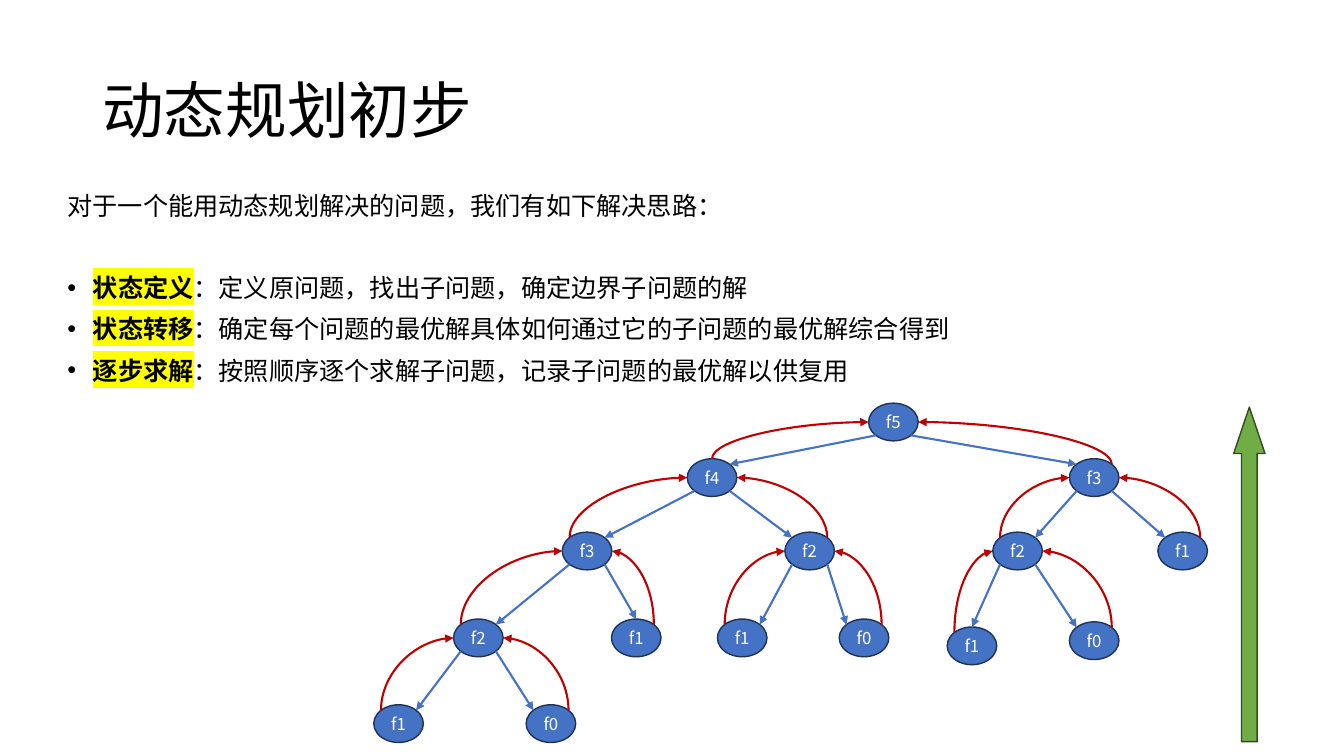
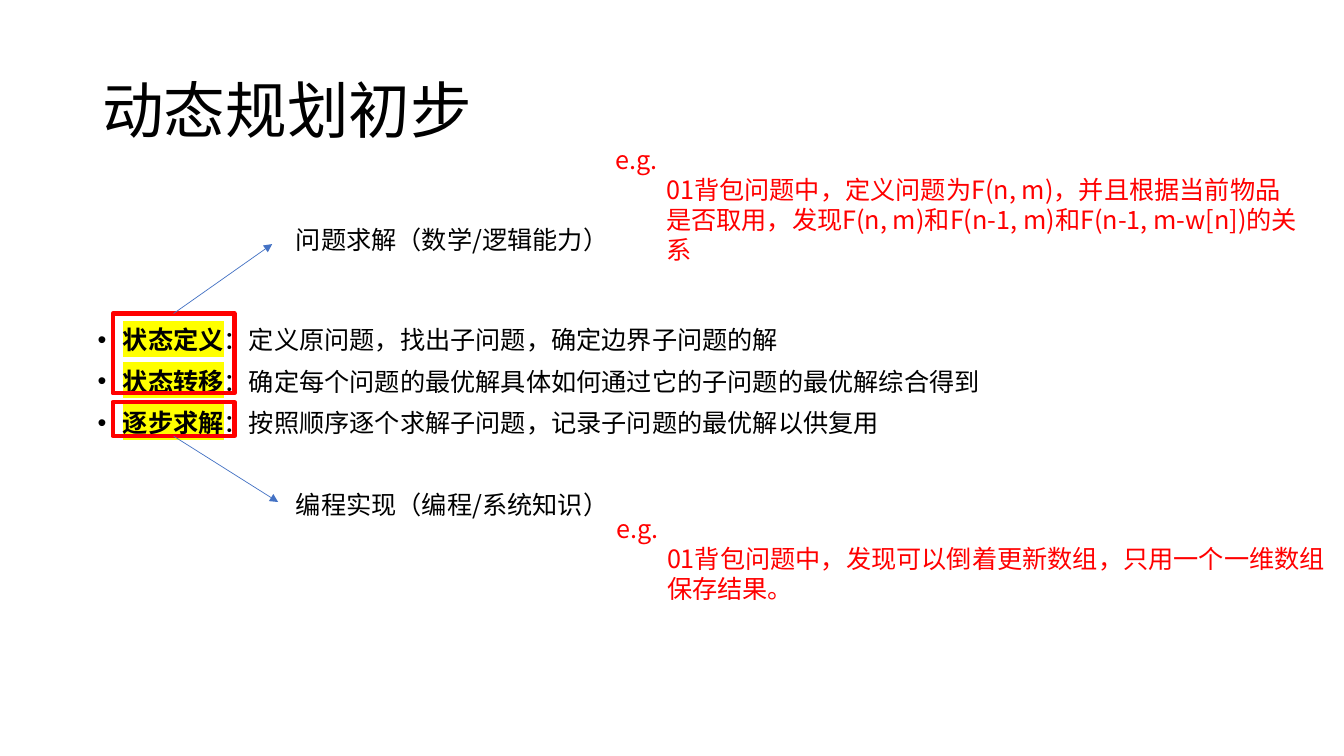
from dataclasses import dataclass
from math import cos, radians, sin

from lxml.etree import SubElement
from pptx import Presentation
from pptx.dml.color import RGBColor as Rgb
from pptx.enum.shapes import MSO_CONNECTOR as Link, MSO_SHAPE as Form
from pptx.enum.text import MSO_ANCHOR as Anchor, PP_ALIGN as Align
from pptx.oxml.ns import qn
from pptx.util import Cm, Pt


@dataclass(frozen=True)
class Theme:
    font: str = "Noto Sans CJK SC"
    ink: str = "000000"
    white: str = "FFFFFF"
    blue: str = "4472C4"
    navy: str = "1E3256"
    crimson: str = "C00000"
    red: str = "FF0000"
    green: str = "70AD47"
    moss: str = "314C1F"
    mark: str = "FFFF00"
    head: int = 44
    body: int = 18
    node: int = 12


@dataclass(frozen=True)
class Node:
    name: str
    left: float
    top: float
    kids: tuple = ()
    drop: int = 45
    lift: int = 45


LOOK = Theme()
WIDE, HIGH = 1.25, 0.95

TREE = Node("f5", 12.47, 0, (
    Node("f4", 7.9, 1.4, (
        Node("f3", 4.75, 3.25, (
            Node("f2", 2.01, 5.44, (
                Node("f1", 0, 7.6),
                Node("f0", 3.84, 7.6))),
            Node("f1", 5.99, 5.44, drop=90))),
        Node("f2", 10.36, 3.25, (
            Node("f1", 8.66, 5.44),
            Node("f0", 11.73, 5.44)))), lift=90),
    Node("f3", 17.53, 1.4, (
        Node("f2", 15.6, 3.25, (
            Node("f1", 14.45, 5.64, drop=90),
            Node("f0", 17.53, 5.51))),
        Node("f1", 19.76, 3.25)))))

STEPS = (
    ("状态定义", "：定义原问题，找出子问题，确定边界子问题的解"),
    ("状态转移", "：确定每个问题的最优解具体如何通过它的子问题的最优解综合得到"),
    ("逐步求解", "：按照顺序逐个求解子问题，记录子问题的最优解以供复用"),
)


def style(para, size, tint):
    para.font.size = Pt(size)
    para.font.color.rgb = Rgb.from_string(tint)
    para.font.name = LOOK.font
    base = para._p.pPr.find(qn("a:defRPr"))
    SubElement(base, qn("a:ea")).set("typeface", LOOK.font)
    return base


def indent(para, left, first=0):
    props = para._p.get_or_add_pPr()
    props.set("marL", str(Cm(left)))
    props.set("indent", str(Cm(first)))


def frame(slide, box):
    text = slide.shapes.add_textbox(*map(Cm, box)).text_frame
    text.word_wrap = True
    return text


def lines(text):
    yield text.paragraphs[0]
    while True:
        yield text.add_paragraph()


def title(slide, words):
    text = frame(slide, (2.33, 1.01, 29.21, 3.68))
    text.vertical_anchor = Anchor.MIDDLE
    para = text.paragraphs[0]
    para.text = words
    para.line_spacing = 0.9
    style(para, LOOK.head, LOOK.ink)


def steps(slide, box, intro=None):
    rows = lines(frame(slide, box))
    if intro:
        para = next(rows)
        para.text = intro
        para.line_spacing = Pt(19.5)
        style(para, LOOK.body, LOOK.ink)
    for rank, (key, rest) in enumerate(STEPS):
        para = next(rows)
        run = para.add_run()
        run.text = key
        run.font.bold = True
        glow = SubElement(run._r.get_or_add_rPr(), qn("a:highlight"))
        SubElement(glow, qn("a:srgbClr")).set("val", LOOK.mark)
        para.add_run().text = rest
        para.line_spacing = Pt(19.5)
        para.space_before = Pt(39 if intro and rank == 0 else 10)
        indent(para, 0.64, -0.64)
        base = style(para, LOOK.body, LOOK.ink)
        props = para._p.pPr
        for tag, key, value in (("a:buFont", "typeface", "Arial"),
                                ("a:buChar", "char", "•")):
            dot = SubElement(props, qn(tag))
            dot.set(key, value)
            base.addprevious(dot)


def note(slide, box, first, *rest, tint=LOOK.ink):
    rows = lines(frame(slide, box))
    for rank, words in enumerate((first, *rest)):
        para = next(rows)
        para.text = words
        para.line_spacing = Pt(21.4)
        if rank:
            indent(para, 1.27)
        style(para, LOOK.body, tint)


def shape(slide, form, box, fill, edge, width):
    item = slide.shapes.add_shape(form, *map(Cm, box))
    item.shadow.inherit = False
    if fill:
        item.fill.solid()
        item.fill.fore_color.rgb = Rgb.from_string(fill)
    else:
        item.fill.background()
    item.line.color.rgb = Rgb.from_string(edge)
    item.line.width = Pt(width)
    return item


def arrow(slide, start, end, tint, width, curved=False):
    kind = Link.CURVE if curved else Link.STRAIGHT
    item = slide.shapes.add_connector(kind, *map(Cm, start + end))
    item.line.color.rgb = Rgb.from_string(tint)
    item.line.width = Pt(width)
    props = item._element.spPr
    if curved:
        props.find(qn("a:prstGeom")).set("prst", "curvedConnector2")
    tip = "a:headEnd" if curved else "a:tailEnd"
    SubElement(item.line._get_or_add_ln(), qn(tip)).set("type", "triangle")
    SubElement(props, qn("a:effectLst"))


def rim(node, origin, side, angle):
    turn = radians(angle)
    return (origin[0] + node.left + WIDE / 2 * (1 + side * cos(turn)),
            origin[1] + node.top + HIGH / 2 * (1 - sin(turn)))


def tree(slide, origin, node):
    box = (origin[0] + node.left, origin[1] + node.top, WIDE, HIGH)
    oval = shape(slide, Form.OVAL, box, LOOK.blue, LOOK.navy, 1)
    text = oval.text_frame
    text.word_wrap = False
    text.margin_left = text.margin_right = 0
    text.margin_top = text.margin_bottom = 0
    text.vertical_anchor = Anchor.MIDDLE
    para = text.paragraphs[0]
    para.text = node.name
    para.alignment = Align.CENTER
    style(para, LOOK.node, LOOK.white)
    for side, kid in zip((-1, 1), node.kids):
        tree(slide, origin, kid)
        arrow(slide, rim(node, origin, side, -45),
              rim(kid, origin, -side, kid.drop), LOOK.blue, 1.5)
        arrow(slide, rim(node, origin, side, 0),
              rim(kid, origin, side, kid.lift), LOOK.crimson, 1.5, True)


def climb(slide, box):
    item = shape(slide, Form.UP_ARROW, box, LOOK.green, LOOK.moss, 1)
    item.adjustments[0] = 0.5
    item.adjustments[1] = 1.48


def group(slide, box, end, label, spot):
    left, top, width, height = box
    shape(slide, Form.RECTANGLE, box, None, LOOK.red, 3)
    edge = top if end[1] < top else top + height
    arrow(slide, (left + width / 2, edge), end, LOOK.blue, 0.5)
    note(slide, spot, label)


def method(slide):
    title(slide, "动态规划初步")
    steps(slide, (1.45, 4.75, 30.71, 12.09),
          "对于一个能用动态规划解决的问题，我们有如下解决思路：")
    tree(slide, (9.42, 10.16), TREE)
    climb(slide, (31.09, 10.26, 0.79, 8.43))


def skills(slide):
    title(slide, "动态规划初步")
    steps(slide, (2.21, 8.13, 30.71, 4.5))
    group(slide, (2.84, 7.9, 3.07, 2.01), (6.86, 6.15),
          "问题求解（数学/逻辑能力）", (7.21, 5.53, 8.46, 1.02))
    group(slide, (2.84, 10.13, 3.07, 0.86), (7.01, 12.65),
          "编程实现（编程/系统知识）", (7.21, 12.21, 8.46, 1.02))
    note(slide, (15.27, 3.52, 17.96, 2.57), "e.g.",
         "01背包问题中，定义问题为F(n, m)，并且根据当前物品",
         "是否取用，发现F(n, m)和F(n-1, m)和F(n-1, m-w[n])的关系",
         tint=LOOK.red)
    note(slide, (15.29, 12.82, 18.6, 2.57), "e.g.",
         "01背包问题中，发现可以倒着更新数组，只用一个一维数组",
         "保存结果。", tint=LOOK.red)


def main():
    deck = Presentation()
    deck.slide_width, deck.slide_height = Cm(33.87), Cm(19.05)
    for build in (method, skills):
        build(deck.slides.add_slide(deck.slide_layouts[6]))
    deck.save("out.pptx")


if __name__ == "__main__":
    main()
